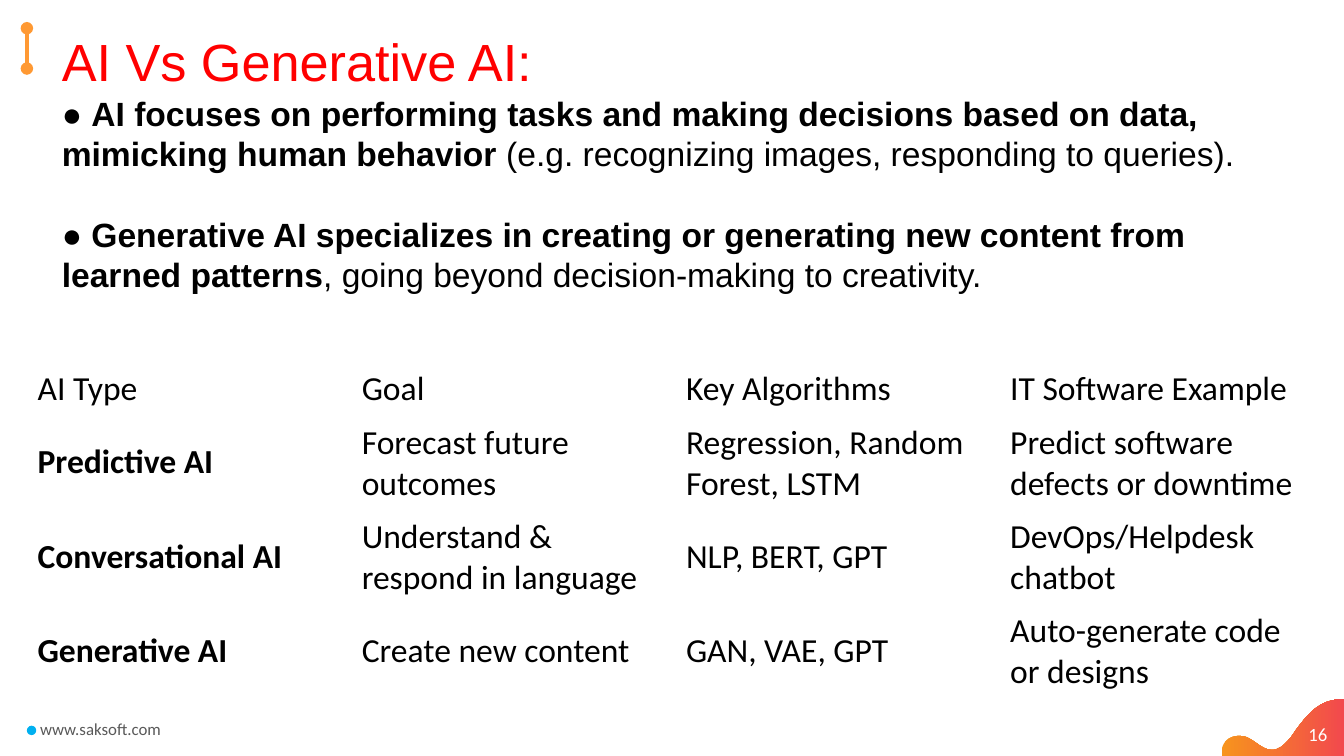
"""Builds the slide comparing AI with generative AI."""
from lxml import etree
from pptx import Presentation
from pptx.dml.color import RGBColor
from pptx.enum import shapes as kinds, text as modes
from pptx.oxml.ns import qn
from pptx.util import Inches, Pt

THEME = {
    "sans": "Arial", "plain": "Calibri",
    "red": "FF0000", "black": "000000", "grey": "595959", "white": "FFFFFF",
    "orange": "FF9933", "blue": "00B0F0", "wave": ("F7941D", "F2494D"),
    "head": 28, "text": 18, "foot": 9, "page": 10,
}
WIDE = 10
TALL = WIDE * 9 / 16
TITLE = "AI Vs Generative AI:"
POINTS = [
    [("● ", False),
     ("AI focuses on performing tasks and making decisions based on data, "
      "mimicking human behavior ", True),
     ("(e.g. recognizing images, responding to queries).", False)],
    [("● ", False),
     ("Generative AI specializes in creating or generating new content "
      "from learned patterns", True),
     (", going beyond decision-making to creativity.", False)],
]
TABLE = [
    ("AI Type", "Goal", "Key Algorithms", "IT Software Example"),
    ("Predictive AI", "Forecast future outcomes",
     "Regression, Random Forest, LSTM", "Predict software defects or downtime"),
    ("Conversational AI", "Understand & respond in language",
     "NLP, BERT, GPT", "DevOps/Helpdesk chatbot"),
    ("Generative AI", "Create new content", "GAN, VAE, GPT",
     "Auto-generate code or designs"),
]
ROWS = (0.4, 0.7, 0.7, 0.7)
SITE, PAGE = "www.saksoft.com", "16"
WAVE = [
    ((9.26, 5.48), (9.37, 5.51), (9.45, 5.69), (9.61, 5.48)),
    ((9.61, 5.48), (9.76, 5.26), (9.84, 5.21), (WIDE, 5.2)),
    ((WIDE, 5.2), (WIDE, 5.34), (WIDE, 5.48), (WIDE, TALL)),
    ((WIDE, TALL), (9.7, TALL), (9.39, TALL), (9.09, TALL)),
    ((9.09, TALL), (9.08, 5.52), (9.15, 5.46), (9.26, 5.48)),
]


def tint(name):
    return RGBColor.from_string(THEME.get(name, name))


def box(*sides):
    return [Inches(side) for side in sides]


def write(para, words, size="text", face="plain", color="black", bold=False,
          align=modes.PP_ALIGN.LEFT):
    run = para.add_run()
    run.text = words
    font = run.font
    font.name, font.size, font.bold = THEME[face], Pt(THEME[size]), bold
    font.color.rgb = tint(color)
    para.alignment = align


def place(shape, left, top, width, height):
    shape.left, shape.top, shape.width, shape.height = box(left, top, width, height)
    frame = shape.text_frame
    frame.word_wrap = True
    frame.auto_size = modes.MSO_AUTO_SIZE.NONE
    frame.vertical_anchor = modes.MSO_ANCHOR.TOP
    return frame


def curve(start, pull, push, end, steps=16):
    for step in range(1, steps + 1):
        t = step / steps
        s = 1 - t
        yield tuple(Inches(s**3 * a + 3 * s * s * t * b + 3 * s * t * t * c + t**3 * d)
                    for a, b, c, d in zip(start, pull, push, end))


def draw_wave(slide):
    build = slide.shapes.build_freeform(*box(*WAVE[0][0]), scale=1.0)
    build.add_line_segments([dot for part in WAVE for dot in curve(*part)])
    shape = build.convert_to_shape()
    shape.shadow.inherit = False
    shape.line.fill.background()
    shape.fill.gradient()
    shape.fill.gradient_angle = 0
    for stop, color, spot in zip(shape.fill.gradient_stops, THEME["wave"], (0, 1)):
        stop.color.rgb = tint(color)
        stop.position = spot


def draw_marks(slide):
    pin = slide.shapes.add_connector(kinds.MSO_CONNECTOR.STRAIGHT,
                                     *box(0.2, 0.21, 0.2, 0.51))
    pin.line.color.rgb = tint("orange")
    pin.line.width = Pt(2.25)
    line = pin.line._get_or_add_ln()
    for end in ("a:headEnd", "a:tailEnd"):
        etree.SubElement(line, qn(end), type="oval")
    etree.SubElement(pin._element.spPr, qn("a:effectLst"))
    dot = slide.shapes.add_shape(kinds.MSO_SHAPE.OVAL, *box(0.2, 5.4, 0.07, 0.07))
    dot.shadow.inherit = False
    dot.fill.solid()
    dot.fill.fore_color.rgb = tint("blue")
    dot.line.fill.background()


def draw_foot(slide):
    site = slide.shapes.add_textbox(*box(0.2, 5.3, 1.12, 0.25)).text_frame
    site.word_wrap = False
    write(site.paragraphs[0], SITE, size="foot", color="grey")
    page = slide.shapes.add_textbox(*box(9.61, 5.33, 0.39, 0.3)).text_frame
    page.word_wrap = True
    write(page.paragraphs[0], PAGE, size="page", color="white",
          align=modes.PP_ALIGN.CENTER)


def draw_text(slide):
    head, body = slide.placeholders
    frame = place(head, 0.36, 0.17, 9.26, 0.5)
    write(frame.paragraphs[0], TITLE, size="head", face="sans", color="red")
    frame = place(body, 0.36, 0.64, 9.26, 1.62)
    for rank, point in enumerate(POINTS):
        para = frame.add_paragraph() if rank else frame.paragraphs[0]
        props = para._p.get_or_add_pPr()
        props.set("marL", "0")
        props.set("indent", "0")
        etree.SubElement(props, qn("a:buNone"))
        para.space_before = Pt(21.5 if rank else 0)
        for words, bold in point:
            write(para, words, face="sans", bold=bold)


def draw_table(slide):
    grid = slide.shapes.add_table(len(TABLE), len(TABLE[0]),
                                  *box(0.18, 2.69, 9.65, sum(ROWS))).table
    grid.first_row = grid.horz_banding = False
    for column in grid.columns:
        column.width = Inches(9.65 / len(TABLE[0]))
    for r, line in enumerate(TABLE):
        grid.rows[r].height = Inches(ROWS[r])
        for c, words in enumerate(line):
            cell = grid.cell(r, c)
            cell.fill.background()
            cell.vertical_anchor = modes.MSO_ANCHOR.MIDDLE
            write(cell.text_frame.paragraphs[0], words, bold=r > 0 and c == 0)


def main():
    deck = Presentation()
    deck.slide_width, deck.slide_height = box(WIDE, TALL)
    slide = deck.slides.add_slide(deck.slide_layouts[1])
    for draw in (draw_wave, draw_marks, draw_foot, draw_table, draw_text):
        draw(slide)
    deck.save("out.pptx")


if __name__ == "__main__":
    main()
